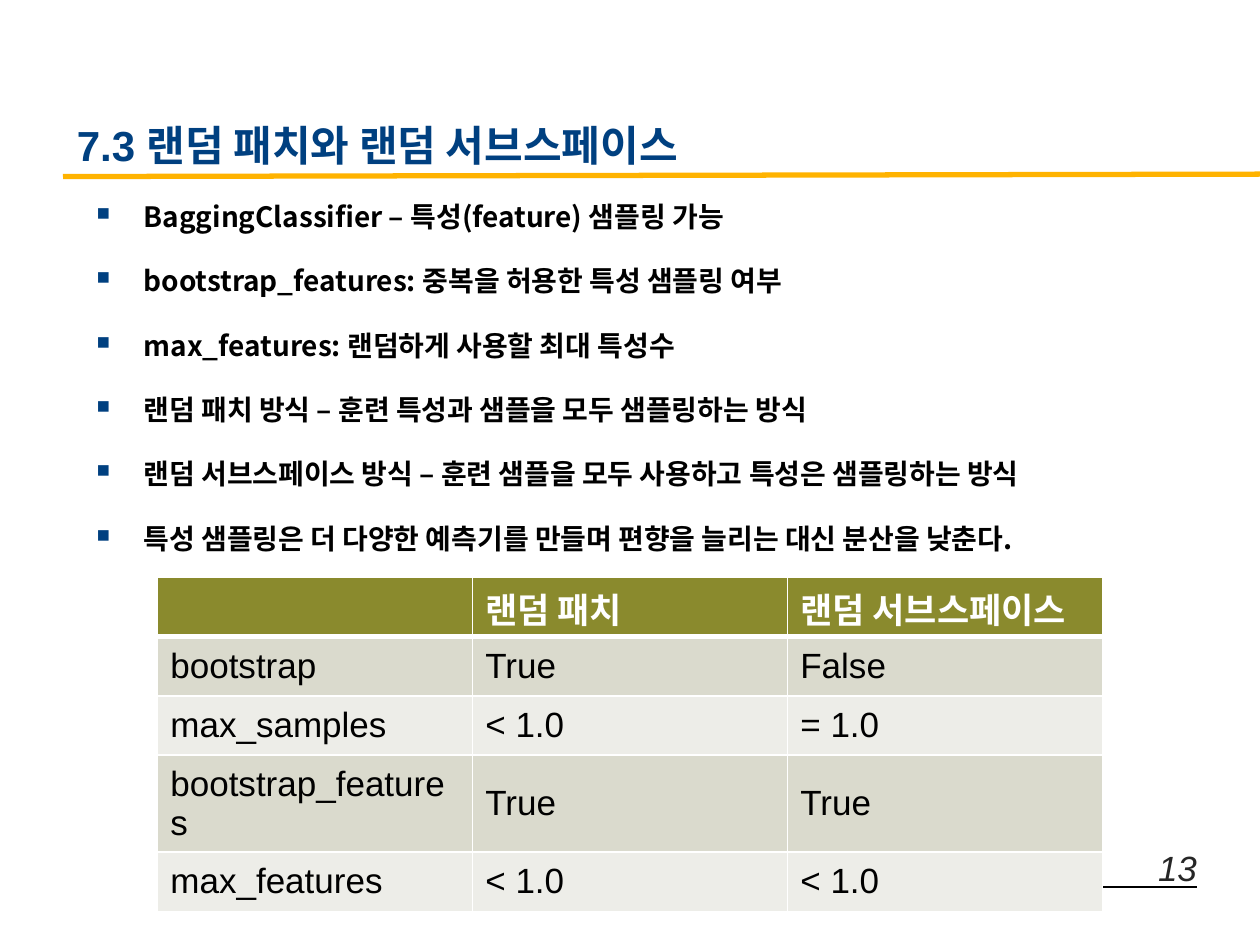
from dataclasses import dataclass
from typing import NamedTuple

from lxml.etree import SubElement
from pptx import Presentation
from pptx.dml.color import RGBColor as RGB
from pptx.enum.shapes import MSO_CONNECTOR as Connector
from pptx.enum.text import MSO_ANCHOR as Anchor, PP_ALIGN as Align
from pptx.oxml.ns import qn
from pptx.util import Cm, Pt


@dataclass(frozen=True)
class Theme:
    navy: str = "004080"
    gold: str = "FFB300"
    black: str = "000000"
    grey: str = "262626"
    white: str = "FFFFFF"
    olive: str = "8A8A2D"
    bands: tuple = ("DADACD", "EDEDE8")
    latin: str = "Arial"
    korean: str = "Noto Sans CJK KR"
    title_size: int = 24
    table_size: int = 20
    number_size: int = 20
    body_size: int = 16


class Box(NamedTuple):
    """A region in centimetres."""
    left: float
    top: float
    width: float
    height: float


THEME = Theme()

POINTS = [
    "BaggingClassifier – 특성(feature) 샘플링 가능",
    "bootstrap_features: 중복을 허용한 특성 샘플링 여부",
    "max_features: 랜덤하게 사용할 최대 특성수",
    "랜덤 패치 방식 – 훈련 특성과 샘플을 모두 샘플링하는 방식",
    "랜덤 서브스페이스 방식 – 훈련 샘플을 모두 사용하고 특성은 샘플링하는 방식",
    "특성 샘플링은 더 다양한 예측기를 만들며 편향을 늘리는 대신 분산을 낮춘다.",
]

COMPARISON = [
    ["", "랜덤 패치", "랜덤 서브스페이스"],
    ["bootstrap", "True", "False"],
    ["max_samples", "< 1.0", "= 1.0"],
    ["bootstrap_features", "True", "True"],
    ["max_features", "< 1.0", "< 1.0"],
]


def style(paragraph, size, color, latin=THEME.latin, bold=False, italic=False):
    font = paragraph.font
    font.name, font.size = latin, Pt(size)
    font.bold, font.italic = bold, italic
    font.color.rgb = RGB.from_string(color)
    defaults = paragraph._p.get_or_add_pPr().get_or_add_defRPr()
    SubElement(defaults, qn("a:ea"), typeface=THEME.korean)


def add_text_frame(slide, box, anchor=Anchor.TOP):
    frame = slide.shapes.add_textbox(*map(Cm, box)).text_frame
    frame.word_wrap = True
    frame.vertical_anchor = anchor
    return frame


def add_rule(slide, start, end, color, width):
    rule = slide.shapes.add_connector(
        Connector.STRAIGHT, *map(Cm, (*start, *end)))
    rule.line.color.rgb = RGB.from_string(color)
    rule.line.width = Pt(width)
    SubElement(rule._element.spPr, qn("a:effectLst"))


def add_bullet(paragraph):
    properties = paragraph._p.get_or_add_pPr()
    properties.set("marL", str(Cm(0.95)))
    properties.set("indent", str(-Cm(0.95)))
    paragraph.line_spacing = 1.5
    before = SubElement(properties, qn("a:spcBef"))
    SubElement(before, qn("a:spcPct"), val="50000")
    color = SubElement(properties, qn("a:buClr"))
    SubElement(color, qn("a:srgbClr"), val=THEME.navy)
    SubElement(properties, qn("a:buSzPct"), val="65000")
    SubElement(properties, qn("a:buChar"), char="■")


def add_borders(cell, widths):
    properties = cell._tc.get_or_add_tcPr()
    for position, (side, width) in enumerate(widths.items()):
        line = SubElement(properties, qn(f"a:{side}"), w=str(Pt(width)))
        fill = SubElement(line, qn("a:solidFill"))
        SubElement(fill, qn("a:srgbClr"), val=THEME.white)
        properties.insert(position, line)


def build_heading(slide, box):
    # Gold rule under the title, running to the slide's right edge
    bottom = box.top + box.height
    add_rule(slide, (box.left, bottom),
             (box.left + box.width, bottom - 0.05), THEME.gold, 3)
    title_box = Box(box.left + 0.03, box.top, 14.2, box.height)
    title = add_text_frame(slide, title_box, Anchor.BOTTOM).paragraphs[0]
    title.text = "7.3 랜덤 패치와 랜덤 서브스페이스"
    style(title, THEME.title_size, THEME.navy, bold=True)


def build_footer(slide, box):
    # Thin rule with the page number above its right end
    bottom, right = box.top + box.height, box.left + box.width
    add_rule(slide, (box.left, bottom), (right, bottom), THEME.black, 0.75)
    number_box = Box(right - 5.28, box.top, 5.53, box.height)
    number = add_text_frame(slide, number_box).paragraphs[0]
    number.text = "13"
    number.alignment = Align.RIGHT
    style(number, THEME.number_size, THEME.grey, italic=True)


def build_points(slide, box, points):
    frame = add_text_frame(slide, box)
    for index, text in enumerate(points):
        point = frame.add_paragraph() if index else frame.paragraphs[0]
        point.text = text
        add_bullet(point)
        style(point, THEME.body_size, THEME.black, THEME.korean, bold=True)


def build_comparison(slide, box, rows):
    table = slide.shapes.add_table(
        len(rows), len(rows[0]), *map(Cm, box)).table
    for row_index, values in enumerate(rows):
        header = row_index == 0
        fill = THEME.olive if header else THEME.bands[(row_index - 1) % 2]
        borders = {"lnL": 1, "lnR": 1, "lnT": 3 if row_index == 1 else 1,
                   "lnB": 3 if header else 1}
        for column_index, value in enumerate(values):
            cell = table.cell(row_index, column_index)
            cell.text = value
            cell.vertical_anchor = Anchor.MIDDLE
            cell.fill.solid()
            cell.fill.fore_color.rgb = RGB.from_string(fill)
            add_borders(cell, borders)
            style(cell.text_frame.paragraphs[0], THEME.table_size,
                  THEME.white if header else THEME.black, bold=header)


def main():
    deck = Presentation()
    deck.slide_width, deck.slide_height = Cm(25.4), Cm(19.05)
    slide = deck.slides.add_slide(deck.slide_layouts[6])
    build_footer(slide, Box(3.45, 16.94, 20.68, 0.94))
    build_heading(slide, Box(1.27, 2.03, 24.13, 1.53))
    build_points(slide, Box(1.7, 3.56, 23.16, 13), POINTS)
    build_comparison(slide, Box(3.18, 11.63, 19.05, 5.99), COMPARISON)
    deck.save("out.pptx")


if __name__ == "__main__":
    main()
